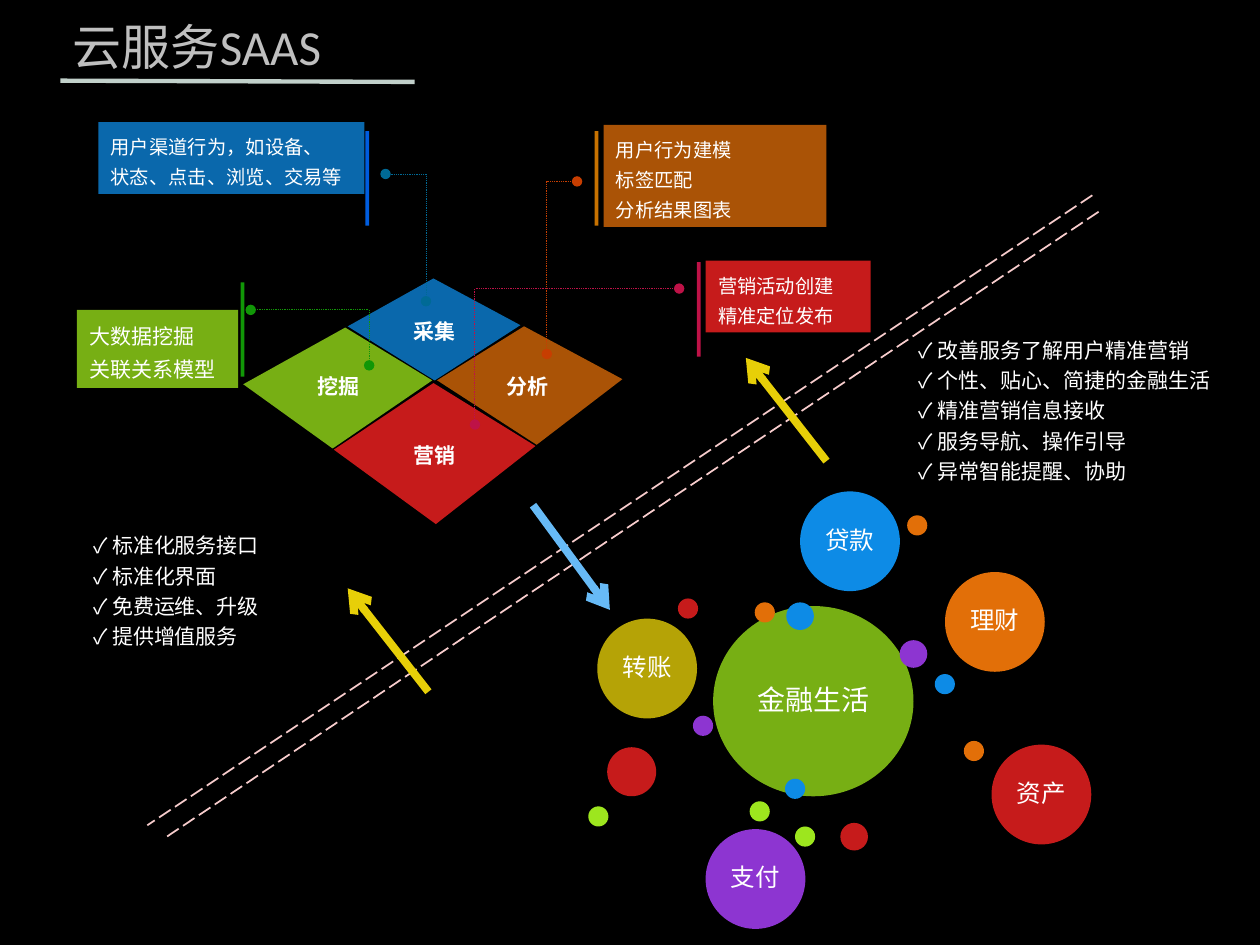
"""Build the SAAS cloud service slide."""
from lxml.etree import SubElement
from pptx import Presentation
from pptx.dml.color import RGBColor
from pptx.enum.dml import MSO_LINE
from pptx.enum.shapes import MSO_CONNECTOR, MSO_SHAPE
from pptx.enum.text import MSO_ANCHOR, MSO_AUTO_SIZE, PP_ALIGN
from pptx.oxml.ns import qn
from pptx.util import Pt

CJK = "Noto Sans CJK SC"
BLUE, BROWN, GREEN, RED = "0A68AC", "AA5306", "77AF14", "C61B1B"
LIME, SKY, ORANGE, PURPLE, OLIVE = "9DE61E", "0D8BE6", "E26F08", "8D35D1", "B5A306"
PINK, YELLOW = "F8CDCD", "E7CF08"


def paint(fill, color):
    fill.solid()
    fill.fore_color.rgb = RGBColor.from_string(color)


def write(shape, lines, font_format, paragraph_format, frame_format, color="FFFFFF"):
    frame = shape.text_frame
    frame.text = "\n".join(lines)
    for name, value in frame_format.items():
        setattr(frame, name, value)
    for paragraph in frame.paragraphs:
        for name, value in paragraph_format.items():
            setattr(paragraph, name, value)
        for run in paragraph.runs:
            for name, value in font_format.items():
                setattr(run.font, name, value)
            paint(run.font.fill, color)
            SubElement(run._r.get_or_add_rPr(), qn("a:ea"), typeface=CJK)


prs = Presentation()
prs.slide_width, prs.slide_height = Pt(720), Pt(540)
slide = prs.slides.add_slide(prs.slide_layouts[5])
paint(slide.background.fill, "000000")
shapes = slide.shapes

top_frame = {"word_wrap": True, "auto_size": MSO_AUTO_SIZE.NONE, "vertical_anchor": MSO_ANCHOR.TOP}
circle_frame = {"word_wrap": False, "vertical_anchor": MSO_ANCHOR.MIDDLE, "margin_left": 0,
                "margin_right": 0, "margin_top": 0, "margin_bottom": 0}

title = shapes.title
title_box = {"left": 34.5, "top": 5.8, "width": 218, "height": 75}
for side, length in title_box.items():
    setattr(title, side, Pt(length))
write(title, ["云服务SAAS"], {"size": Pt(28), "name": "Calibri"},
      {"alignment": PP_ALIGN.LEFT}, top_frame, "BFBFBF")

stages = [
    ("营销", RED, [(249.1, 299.5), (190.8, 257), (247.7, 218.9), (306, 254.9)], (211, 249.1)),
    ("分析", BROWN, [(306.7, 254.2), (249.8, 217.4), (299.5, 186.5), (355.7, 216.7)], (264.2, 210.2)),
    ("挖掘", GREEN, [(190.1, 256.3), (247, 217.4), (197.3, 187.2), (139, 219.6)], (156.2, 210.2)),
    ("采集", BLUE, [(248.4, 217.4), (297.4, 185.8), (247.7, 159.1), (198.7, 186.5)], (211, 178.6)),
]
for stage, color, corners, place in stages:
    start, *rest = [(Pt(x), Pt(y)) for x, y in corners]
    builder = shapes.build_freeform(*start, scale=1.0)
    builder.add_line_segments(rest, close=True)
    diamond = builder.convert_to_shape()
    diamond.shadow.inherit = False
    paint(diamond.fill, color)
    diamond.line.fill.background()
for stage, color, corners, (left, top) in stages:
    label = shapes.add_textbox(Pt(left), Pt(top), Pt(75), Pt(21.6))
    write(label, [stage], {"size": Pt(12), "name": CJK, "bold": True},
          {"alignment": PP_ALIGN.CENTER}, top_frame)

leaders = [
    ("006A96", [(243.4, 172.1), (243.4, 99.4), (220.3, 99.4)]),
    ("119707", [(211, 208.8), (211, 177.1), (143.3, 177.1)]),
    ("C73E01", [(312.5, 202.3), (312.5, 103.7), (329.8, 103.7)]),
    ("BE1247", [(271.4, 242.6), (271.4, 164.9), (388.1, 164.9)]),
]
for color, bends in leaders:
    start, *rest = [(Pt(x), Pt(y)) for x, y in bends]
    builder = shapes.build_freeform(*start, scale=1.0)
    builder.add_line_segments(rest, close=False)
    leader = builder.convert_to_shape()
    leader.shadow.inherit = False
    leader.fill.background()
    paint(leader.line.fill, color)
    leader.line.width = Pt(0.5)
    leader.line.dash_style = MSO_LINE.ROUND_DOT
    outline = leader._element.spPr.find(qn("a:ln"))
    for end in ("a:headEnd", "a:tailEnd"):
        SubElement(outline, qn(end), type="oval")

cards = [
    (56.2, 69.8, 152, 41, BLUE, 11, ["用户渠道行为，如设备、", "状态、点击、浏览、交易等"], (208.8, 74.9, "005DDF")),
    (43.9, 177.1, 92.2, 44.6, GREEN, 12, ["大数据挖掘", "关联关系模型"], (137.5, 161.3, "119707")),
    (344.9, 71.3, 127.4, 58.3, BROWN, 11, ["用户行为建模", "标签匹配", "分析结果图表"], (339.8, 74.9, "C77201")),
    (403.2, 149, 94.3, 41, RED, 11, ["营销活动创建", "精准定位发布"], (398.2, 149.8, "BE1247")),
]
for left, top, width, height, color, size, lines, (bar_left, bar_top, bar_color) in cards:
    card = shapes.add_shape(MSO_SHAPE.RECTANGLE, Pt(left), Pt(top), Pt(width), Pt(height))
    bar = shapes.add_shape(MSO_SHAPE.RECTANGLE, Pt(bar_left), Pt(bar_top), Pt(2.16), Pt(54))
    for block, block_color in ((card, color), (bar, bar_color)):
        block.shadow.inherit = False
        paint(block.fill, block_color)
        block.line.fill.background()
    write(card, lines, {"size": Pt(size), "name": CJK},
          {"alignment": PP_ALIGN.JUSTIFY, "line_spacing": 1.3}, top_frame)

benefits = [
    (46.1, 298.1, 152.6, 76.3, ["标准化服务接口", "标准化界面", "免费运维、升级", "提供增值服务"]),
    (517.7, 186.5, 187, 94.3, ["改善服务了解用户精准营销", "个性、贴心、简捷的金融生活",
                               "精准营销信息接收", "服务导航、操作引导", "异常智能提醒、协助"]),
]
for left, top, width, height, points in benefits:
    checklist = shapes.add_textbox(Pt(left), Pt(top), Pt(width), Pt(height))
    write(checklist, [f"✓ {point}" for point in points], {"size": Pt(12), "name": "Arial"},
          {"line_spacing": 1.2}, top_frame)

strokes = [
    (34.5, 46.1, 236.9, 46.8, "C1D0CA", 2.5, None, None),
    (624.2, 111.6, 84.2, 471.6, PINK, 1, MSO_LINE.LONG_DASH, None),
    (627.8, 121, 94.3, 478.8, PINK, 1, MSO_LINE.LONG_DASH, None),
    (244.8, 395.3, 198.7, 336.2, YELLOW, 4.5, None, "arrow"),
    (472.3, 263.5, 426.2, 204.5, YELLOW, 4.5, None, "arrow"),
    (304.6, 288.7, 348.5, 348.5, "67BAF6", 4.5, None, "arrow"),
]
for x1, y1, x2, y2, color, weight, dash, tip in strokes:
    stroke = shapes.add_connector(MSO_CONNECTOR.STRAIGHT, Pt(x1), Pt(y1), Pt(x2), Pt(y2))
    paint(stroke.line.fill, color)
    stroke.line.width = Pt(weight)
    properties = stroke._element.spPr
    if dash:
        stroke.line.dash_style = dash
    if tip:
        SubElement(properties.find(qn("a:ln")), qn("a:tailEnd"), type=tip)
    SubElement(properties, qn("a:effectLst"))

services = [
    (341.3, 353.5, OLIVE, "转账"), (540, 326.9, ORANGE, "理财"), (566.6, 425.5, RED, "资产"),
    (403.2, 473.8, PURPLE, "支付"), (457.2, 280.8, SKY, "贷款"),
]
dots = {
    11.5: [(428.4, 457.9, LIME), (534.2, 385.2, SKY), (431.3, 344.2, ORANGE), (396, 409, PURPLE),
           (336.2, 460.8, LIME), (448.6, 445, SKY), (550.8, 423.4, ORANGE), (454.3, 472.3, LIME),
           (387.4, 342, RED), (518.4, 294.5, ORANGE)],
    15.8: [(480.2, 470.2, RED), (449.3, 344.2, SKY), (514.1, 365.8, PURPLE)],
    28: [(347, 427, RED)],
}
circles = [(407.5, 346.3, 114.5, 108.7, GREEN, "金融生活", 16)]
circles += [(left, top, 57, 57, color, name, 14) for left, top, color, name in services]
circles += [(left, top, size, size, color, "", 14)
            for size, places in dots.items() for left, top, color in places]
for left, top, width, height, color, name, size in circles:
    circle = shapes.add_shape(MSO_SHAPE.OVAL, Pt(left), Pt(top), Pt(width), Pt(height))
    circle.shadow.inherit = False
    paint(circle.fill, color)
    circle.line.fill.background()
    if name:
        write(circle, [name], {"size": Pt(size), "name": "Calibri"},
              {"alignment": PP_ALIGN.CENTER, "line_spacing": 0.9}, circle_frame)

prs.save("out.pptx")
